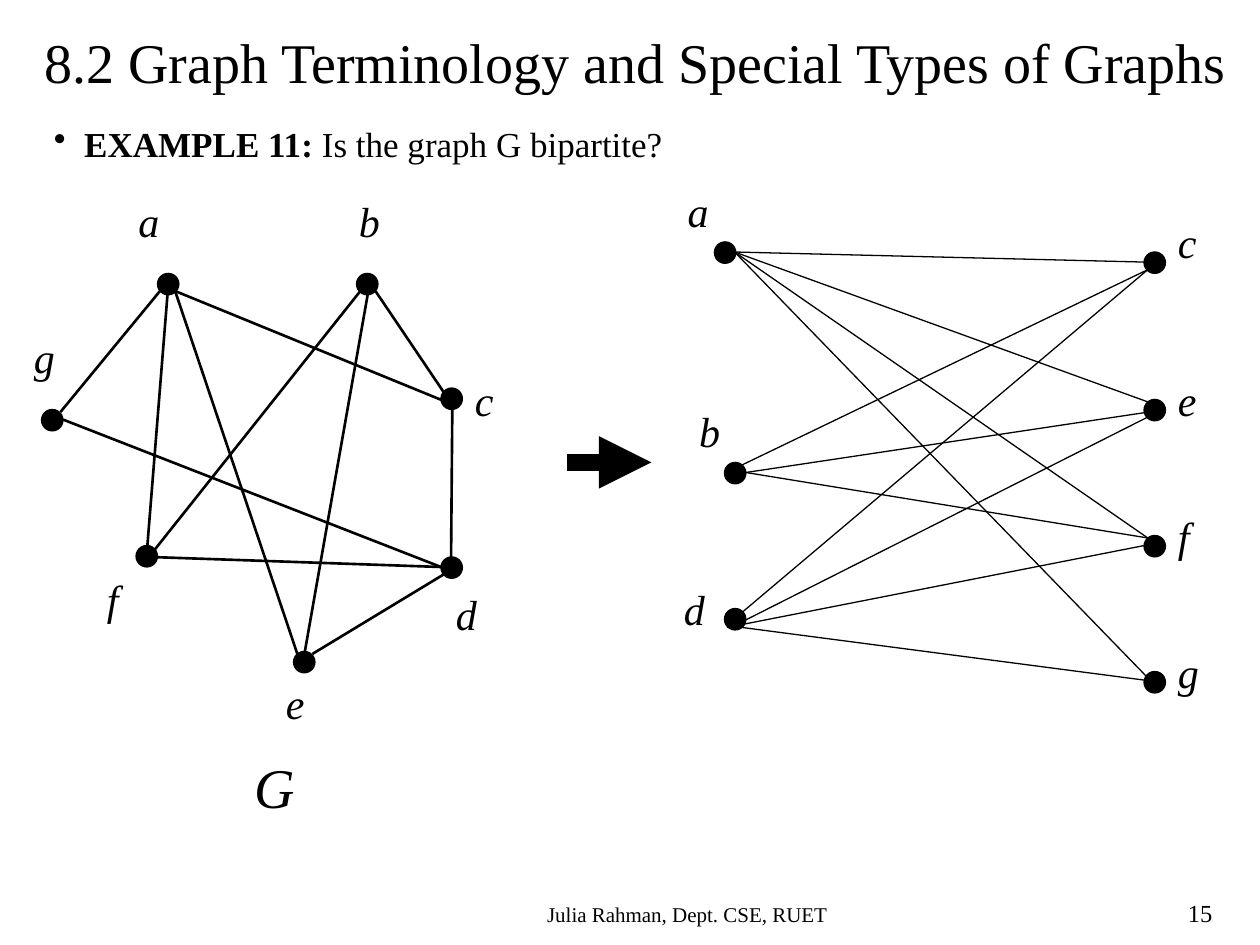
import pptx
import pptx.dml.color
import pptx.enum.shapes
import pptx.enum.text
import pptx.oxml.ns
import pptx.util
from lxml import etree
from pptx.util import Inches

COLORS = {"ink": "000000"}
INK = pptx.dml.color.RGBColor.from_string(COLORS["ink"])
FONT = "Times New Roman"
NODE_SIZE = 0.17
LABEL_WIDTHS = {"c": 0.35, "e": 0.35, "f": 0.29}

# Each node: left and top of the dot, left and top of its label
GRAPH_NODES = {
    "a": (1.25, 2.17, 1, 1.5),
    "b": (2.83, 2.17, 2.75, 1.5),
    "c": (3.5, 3.08, 3.67, 2.92),
    "d": (3.5, 4.42, 3.52, 4.62),
    "e": (2.33, 5.17, 2.17, 5.33),
    "f": (1.08, 4.33, 0.75, 4.5),
    "g": (0.33, 3.25, 0.17, 2.58),
}
BIPARTITE_NODES = {
    "a": (5.67, 1.92, 5.36, 1.42),
    "b": (5.75, 3.67, 5.45, 3.17),
    "d": (5.75, 4.83, 5.33, 4.58),
    "c": (9.08, 2, 9.25, 1.67),
    "e": (9.08, 3.17, 9.25, 2.92),
    "f": (9.08, 4.25, 9.25, 4),
    "g": (9.08, 5.33, 9.25, 5.08),
}
# Each edge: start x, start y, end x, end y
GRAPH_EDGES = [
    (0.48, 3.27, 1.27, 2.31),  # g-a
    (1.39, 2.31, 3.64, 3.23),  # a-c
    (1.39, 2.31, 2.36, 5.19),  # a-e
    (1.33, 2.33, 1.17, 4.33),  # a-f
    (2.86, 2.31, 1.23, 4.36),  # b-f
    (2.42, 5.17, 2.92, 2.33),  # e-b
    (2.98, 2.31, 3.52, 3.11),  # b-c
    (0.5, 3.33, 3.5, 4.5),     # g-d
    (1.17, 4.42, 3.5, 4.5),    # f-d
    (2.48, 5.19, 3.52, 4.56),  # e-d
    (3.59, 3.25, 3.58, 4.42),  # c-d
]
BIPARTITE_EDGES = [
    (5.83, 2, 9.08, 2.08),     # a-c
    (5.83, 2, 9.11, 3.19),     # a-e
    (5.83, 2, 9.11, 4.27),     # a-f
    (9.11, 5.38, 5.83, 2),     # g-a
    (5.89, 3.69, 9.11, 2.14),  # b-c
    (9.25, 3.25, 5.92, 3.75),  # e-b
    (5.92, 3.75, 9.11, 4.27),  # b-f
    (9.11, 2.14, 5.89, 4.86),  # c-d
    (9.11, 3.31, 5.92, 4.92),  # e-d
    (9.08, 4.33, 5.77, 4.98),  # f-d
    (9.25, 5.42, 5.89, 4.98),  # g-d
]

presentation = pptx.Presentation()
presentation.slide_width, presentation.slide_height = Inches(10), Inches(7.5)
slide = presentation.slides.add_slide(presentation.slide_layouts[5])


def add_text(text, box=None, shape=None, size=24, bold=False, italic=False,
             align=pptx.enum.text.PP_ALIGN.LEFT, wrap=True):
    """Append a run to the shape's first paragraph; a box makes or moves the shape."""
    if shape is None:
        shape = slide.shapes.add_textbox(0, 0, 0, 0)
    if box:
        shape.left, shape.top, shape.width, shape.height = map(Inches, box)
    frame = shape.text_frame
    frame.word_wrap = wrap
    frame.auto_size = pptx.enum.text.MSO_AUTO_SIZE.NONE
    frame.vertical_anchor = pptx.enum.text.MSO_ANCHOR.TOP
    paragraph = frame.paragraphs[0]
    paragraph.alignment = align
    run = paragraph.add_run()
    run.text = text
    font = run.font
    font.name, font.size, font.bold, font.italic = FONT, pptx.util.Pt(size), bold, italic
    font.color.rgb = INK
    return shape


def add_line(start_x, start_y, end_x, end_y, width):
    line = slide.shapes.add_connector(
        pptx.enum.shapes.MSO_CONNECTOR.STRAIGHT,
        Inches(start_x), Inches(start_y), Inches(end_x), Inches(end_y))
    line.line.color.rgb = INK
    line.line.width = pptx.util.Pt(width)
    etree.SubElement(line._element.spPr, pptx.oxml.ns.qn("a:effectLst"))
    return line


# Title, question and footer
add_text("8.2 Graph Terminology and Special Types of Graphs", (0.25, 0.17, 9.67, 0.64),
         shape=slide.shapes.title, size=32, wrap=False)

question = add_text("EXAMPLE 11: ", (0.33, 0.92, 9.5, 0.77), size=20, bold=True)
add_text("Is the graph G bipartite?", shape=question, size=20)
properties = question.text_frame.paragraphs[0]._p.get_or_add_pPr()
properties.set("marL", str(Inches(0.24)))
properties.set("indent", str(Inches(-0.24)))
etree.SubElement(properties, pptx.oxml.ns.qn("a:buChar")).set("char", "•")

add_text("Julia Rahman, Dept. CSE, RUET", (2.58, 7.11, 5.75, 0.3), size=12,
         align=pptx.enum.text.PP_ALIGN.CENTER)
add_text("15", (9.33, 7.08, 0.67, 0.33), size=14)

# The graph G and its bipartite drawing
for nodes, edges, edge_width in ((GRAPH_NODES, GRAPH_EDGES, 1.5),
                                 (BIPARTITE_NODES, BIPARTITE_EDGES, 0.75)):
    for edge in edges:
        add_line(*edge, edge_width)
    for name, (left, top, label_left, label_top) in nodes.items():
        node = slide.shapes.add_shape(
            pptx.enum.shapes.MSO_SHAPE.OVAL, Inches(left), Inches(top),
            Inches(NODE_SIZE), Inches(NODE_SIZE))
        node.shadow.inherit = False
        node.fill.solid()
        node.fill.fore_color.rgb = INK
        node.line.color.rgb = INK
        node.line.width = pptx.util.Pt(0.75)
        add_text(name, (label_left, label_top, LABEL_WIDTHS.get(name, 0.37), 0.5),
                 italic=True, wrap=False)
add_text("G", (1.92, 5.92, 0.53, 0.64), size=32, italic=True, wrap=False)

# Arrow from one drawing to the other
arrow = add_line(4.5, 3.67, 5.17, 3.67, 10)
etree.SubElement(arrow.line._get_or_add_ln(), pptx.oxml.ns.qn("a:tailEnd")).set("type", "triangle")

presentation.save("out.pptx")
